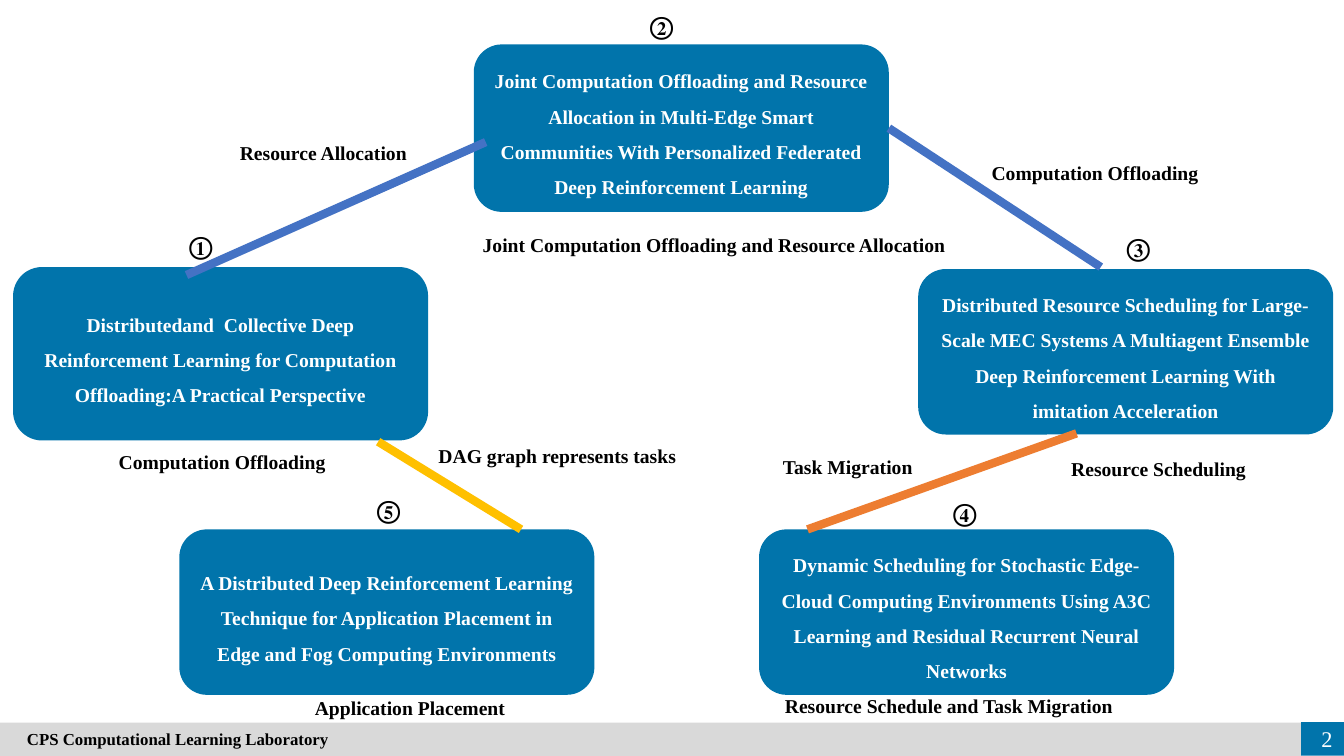
import pptx
import pptx.dml.color
import pptx.enum.shapes
import pptx.enum.text
import pptx.oxml.ns
import pptx.util
from lxml import etree

Cm = pptx.util.Cm
Pt = pptx.util.Pt
SHAPE = pptx.enum.shapes.MSO_SHAPE
ALIGN = pptx.enum.text.PP_ALIGN
MIDDLE = pptx.enum.text.MSO_ANCHOR.MIDDLE

FONT = "Times New Roman"
BLUE, GREY, BLACK, WHITE = "0174AB", "D9D9D9", "000000", "FFFFFF"
BOX_WIDTH = 10.46

# number, number position, box left, top, height, paper title
PAPERS = [
    ("①", (4.52, 5.69), 0.33, 6.73, 4.37,
     "Distributedand  Collective Deep Reinforcement Learning for "
     "Computation Offloading:A Practical Perspective"),
    ("②", (16.13, 0.13), 11.94, 1.12, 4.22,
     "Joint Computation Offloading and Resource Allocation in Multi-Edge Smart "
     "Communities With Personalized Federated Deep Reinforcement Learning"),
    ("③", (28.14, 5.74), 23.14, 6.78, 4.17,
     "Distributed Resource Scheduling for Large-Scale MEC Systems A Multiagent "
     "Ensemble Deep Reinforcement Learning With imitation Acceleration"),
    ("④", (23.77, 12.4), 19.13, 13.34, 4.17,
     "Dynamic Scheduling for Stochastic Edge-Cloud Computing Environments Using "
     "A3C Learning and Residual Recurrent Neural Networks"),
    ("⑤", (9.25, 12.32), 4.52, 13.34, 4.17,
     "A Distributed Deep Reinforcement Learning Technique for Application "
     "Placement in Edge and Fog Computing Environments"),
]

# start, end, colour, (number of the paper, side) joined at the end
LINKS = [
    ((12.24, 3.58), (4.7, 6.93), "4472C4", None),
    ((27.13, 10.92), (20.35, 13.34), "ED7D31", None),
    ((13.13, 13.34), (9.53, 11.13), "FFC000", None),
    ((27.74, 6.73), (22.4, 3.23), "4472C4", ("②", 3)),
]

# text, left, top, width
CENTRED_LABELS = [
    ("Computation Offloading", -2.87, 10.92, 16.94),
    ("Joint Computation Offloading and Resource Allocation", 9.53, 5.46, 16.94),
    ("Resource Scheduling", 20.73, 11.1, 16.94),
    ("Application Placement", 4.72, 17.12, 11.23),
    ("Resource Allocation", 2.13, 3.12, 12.04),
]
LEFT_LABELS = [
    ("Resource Schedule and Task Migration", 19.53, 17.37, 10.85),
    ("Task Migration", 19.48, 11.35, 4.29),
    ("DAG graph represents tasks", 10.8, 11.05, 6.63),
    ("Computation Offloading", 24.74, 3.94, 6.1),
]

TITLE = {"size": 14, "colour": WHITE, "align": ALIGN.CENTER, "spacing": 1.5}
CENTRED = {"size": 14, "align": ALIGN.CENTER, "spacing": 1.5}
LEFT = {"size": 14}
NUMBER = {"size": 18}
FOOTER = {"size": 12}
PAGE = {"size": 16, "colour": WHITE, "align": ALIGN.RIGHT, "bold": False}


def rgb(colour):
    return pptx.dml.color.RGBColor.from_string(colour)


def write(shape, text, style, **frame_format):
    """Put one styled paragraph into a shape."""
    frame = shape.text_frame
    for name, value in {"word_wrap": True, **frame_format}.items():
        setattr(frame, name, value)
    paragraph = frame.paragraphs[0]
    paragraph.alignment = style.get("align", ALIGN.LEFT)
    paragraph.line_spacing = style.get("spacing")
    run = paragraph.add_run()
    run.text = text
    font_format = {"name": FONT, "size": Pt(style["size"]),
                   "bold": style.get("bold", True)}
    for name, value in font_format.items():
        setattr(run.font, name, value)
    run.font.color.rgb = rgb(style.get("colour", BLACK))
    # The circled digits take the East Asian typeface.
    etree.SubElement(run.font._element, pptx.oxml.ns.qn("a:ea"), typeface=FONT)


def add_text(slide, text, bounds, style, **frame_format):
    box = slide.shapes.add_textbox(*map(Cm, bounds))
    write(box, text, style, **frame_format)


def add_block(slide, kind, bounds, colour):
    shape = slide.shapes.add_shape(kind, *map(Cm, bounds))
    shape.shadow.inherit = False
    shape.fill.solid()
    shape.fill.fore_color.rgb = rgb(colour)
    shape.line.fill.background()
    return shape


def add_link(slide, start, end, colour):
    connector = slide.shapes.add_connector(
        pptx.enum.shapes.MSO_CONNECTOR.STRAIGHT, *map(Cm, start + end))
    connector.line.color.rgb = rgb(colour)
    connector.line.width = Pt(6)
    etree.SubElement(connector._element.spPr, pptx.oxml.ns.qn("a:effectLst"))
    return connector


def main():
    presentation = pptx.Presentation()
    presentation.slide_width = Cm(33.87)
    presentation.slide_height = Cm(19.05)
    slide = presentation.slides.add_slide(presentation.slide_layouts[6])

    bar = add_block(slide, SHAPE.RECTANGLE, (0, 18.21, 32.79, 0.84), GREY)
    write(bar, "CPS Computational Learning Laboratory", FOOTER,
          margin_left=Cm(0.68), vertical_anchor=MIDDLE)
    add_block(slide, SHAPE.RECTANGLE, (32.79, 18.2, 1.08, 0.84), BLUE)
    add_text(slide, "2", (32.23, 18.11, 1.6, 1.02), PAGE, vertical_anchor=MIDDLE)

    boxes = {}
    for number, position, left, top, height, title in PAPERS:
        add_text(slide, number, (*position, 1.14, 1.02), NUMBER, word_wrap=False)
        box = add_block(slide, SHAPE.ROUNDED_RECTANGLE,
                        (left, top, BOX_WIDTH, height), BLUE)
        write(box, title, TITLE, vertical_anchor=MIDDLE)
        boxes[number] = box

    for start, end, colour, joint in LINKS:
        connector = add_link(slide, start, end, colour)
        if joint:
            number, side = joint
            connector.end_connect(boxes[number], side)

    for labels, style, height in ((CENTRED_LABELS, CENTRED, 1.14),
                                  (LEFT_LABELS, LEFT, 0.86)):
        for text, left, top, width in labels:
            add_text(slide, text, (left, top, width, height), style)

    presentation.save("out.pptx")


if __name__ == "__main__":
    main()
